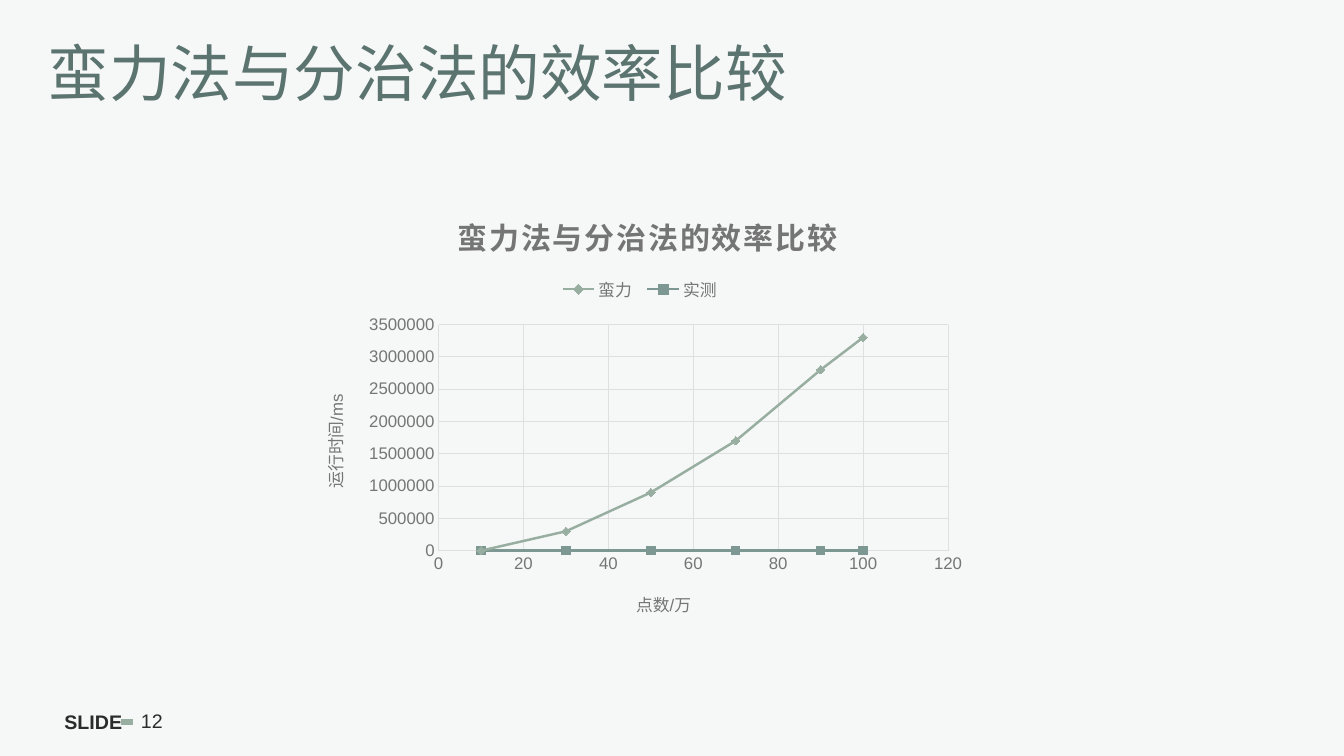
import pptx
import pptx.chart.data
import pptx.dml.color
import pptx.enum.chart
import pptx.enum.shapes
import pptx.enum.text
import pptx.oxml
import pptx.oxml.ns
import pptx.util
from pptx.util import Inches

HEAD = "蛮力法与分治法的效率比较"
DARK, GREY, GRID = "2B2B2B", "757575", "DFDFDF"
SAGE, TEAL = "97AEA0", "7D9892"
COUNTS = [10, 30, 50, 70, 90, 100]
MARK = pptx.enum.chart.XL_MARKER_STYLE
TIMES = {
    "蛮力": ([0, 300000, 900000, 1700000, 2800000, 3300000], SAGE, MARK.DIAMOND),
    "实测": ([0] * len(COUNTS), TEAL, MARK.SQUARE),
}


def rgb(code):
    return pptx.dml.color.RGBColor.from_string(code)


def style(font, size, color, name="Arial", bold=False):
    form = {"size": pptx.util.Pt(size), "name": name, "bold": bold}
    for key, val in form.items():
        setattr(font, key, val)
    font.color.rgb = rgb(color)


def stroke(line, color, width):
    line.color.rgb = rgb(color)
    line.width = pptx.util.Pt(width)


def layout(elem, index, inner=False, **parts):
    """Place a chart part by fractions of the chart's size."""
    old = elem.find(pptx.oxml.ns.qn("c:layout"))
    if old is not None:
        elem.remove(old)
    tags = '<c:layoutTarget val="inner"/>' if inner else ""
    tags += '<c:xMode val="edge"/><c:yMode val="edge"/>'
    tags += "".join(f'<c:{key} val="{val}"/>' for key, val in parts.items())
    elem.insert(index, pptx.oxml.parse_xml(
        f'<c:layout {pptx.oxml.ns.nsdecls("c")}>'
        f"<c:manualLayout>{tags}</c:manualLayout></c:layout>"))


def caption(title, text, size, x, y, bold=False, gap=0):
    title.text_frame.text = text
    run = title.text_frame.paragraphs[0].runs[0]
    style(run.font, size, GREY, bold=bold)
    run._r.get_or_add_rPr().set("spc", str(gap * 100))
    layout(title._element, 1, x=x, y=y)


def header(slide, left, top, width, height):
    title = slide.shapes.title
    box = {"left": left, "top": top, "width": width, "height": height}
    for key, val in box.items():
        setattr(title, key, Inches(val))
    frame = title.text_frame
    frame.text = HEAD
    frame.auto_size = pptx.enum.text.MSO_AUTO_SIZE.NONE
    frame.vertical_anchor = pptx.enum.text.MSO_ANCHOR.MIDDLE
    para = frame.paragraphs[0]
    para.alignment = pptx.enum.text.PP_ALIGN.LEFT
    para.line_spacing = 0.9
    style(para.runs[0].font, 44, "5C746F", "Arial Narrow")


def graph(slide, left, top, width, height):
    data = pptx.chart.data.XyChartData()
    for name, (times, _, _) in TIMES.items():
        points = data.add_series(name)
        for count, time in zip(COUNTS, times):
            points.add_data_point(count, time)
    chart = slide.shapes.add_chart(
        pptx.enum.chart.XL_CHART_TYPE.XY_SCATTER_LINES,
        Inches(left), Inches(top), Inches(width), Inches(height), data).chart
    style(chart.font, 10, DARK)

    # Title, legend and plot area
    chart.has_title = chart.has_legend = True
    caption(chart.chart_title, HEAD, 21.4, 0.22, 0.03, bold=True, gap=1)
    legend = chart.legend
    legend.position = pptx.enum.chart.XL_LEGEND_POSITION.TOP
    legend.include_in_layout = False
    style(legend.font, 12, GREY)
    layout(legend._element, 1, x=0.37, y=0.19, w=0.26, h=0.06)
    layout(chart._chartSpace.chart.plotArea, 0, inner=True,
           x=0.2, y=0.3, w=0.76, h=0.51)

    # Axes
    axes = [(chart.category_axis, "点数/万", 120, 20, 0.49, 0.89),
            (chart.value_axis, "运行时间/ms", 3500000, 500000, 0.02, 0.45)]
    for axis, text, top_val, step, x, y in axes:
        none = pptx.enum.chart.XL_TICK_MARK.NONE
        form = {"minimum_scale": 0, "maximum_scale": top_val,
                "major_unit": step, "has_major_gridlines": True,
                "major_tick_mark": none, "minor_tick_mark": none}
        for key, val in form.items():
            setattr(axis, key, val)
        style(axis.tick_labels.font, 12, GREY)
        axis.tick_labels.number_format = "General"
        axis.tick_labels.number_format_is_linked = False
        for line in (axis.format.line, axis.major_gridlines.format.line):
            stroke(line, GRID, 0.75)
        caption(axis.axis_title, text, 12, x, y)

    # Series
    plot = chart.plots[0]
    plot.vary_by_categories = False
    for series, (_, color, mark) in zip(plot.series, TIMES.values()):
        series.smooth = False
        stroke(series.format.line, color, 1.75)
        series.marker.style, series.marker.size = mark, 6
        series.marker.format.fill.solid()
        series.marker.format.fill.fore_color.rgb = rgb(color)
        stroke(series.marker.format.line, color, 0.75)


def label(slide, text, left, top, width, bold=False):
    frame = slide.shapes.add_textbox(
        Inches(left), Inches(top), Inches(width), Inches(0.34)).text_frame
    frame.word_wrap = True
    frame.text = text
    style(frame.paragraphs[0].runs[0].font, 14, DARK, bold=bold)


def footer(slide, left, top):
    label(slide, "SLIDE", left, top + 0.01, 0.82, bold=True)
    label(slide, "12", left + 0.76, top, 0.71)
    y = Inches(top + 0.18)
    dash = slide.shapes.add_connector(
        pptx.enum.shapes.MSO_CONNECTOR.STRAIGHT,
        Inches(left + 0.66), y, Inches(left + 0.78), y)
    stroke(dash.line, SAGE, 4.5)
    dash._element.spPr.append(pptx.oxml.parse_xml(
        f'<a:effectLst {pptx.oxml.ns.nsdecls("a")}/>'))


def main():
    deck = pptx.Presentation()
    deck.slide_width, deck.slide_height = Inches(13.33), Inches(7.5)
    slide = deck.slides.add_slide(deck.slide_layouts[5])
    slide.background.fill.solid()
    slide.background.fill.fore_color.rgb = rgb("F6F8F8")
    footer(slide, 0.54, 6.98)
    graph(slide, 3.02, 1.9, 6.65, 4.4)
    header(slide, 0.37, 0.45, 12.42, 0.62)
    deck.save("out.pptx")


if __name__ == "__main__":
    main()
